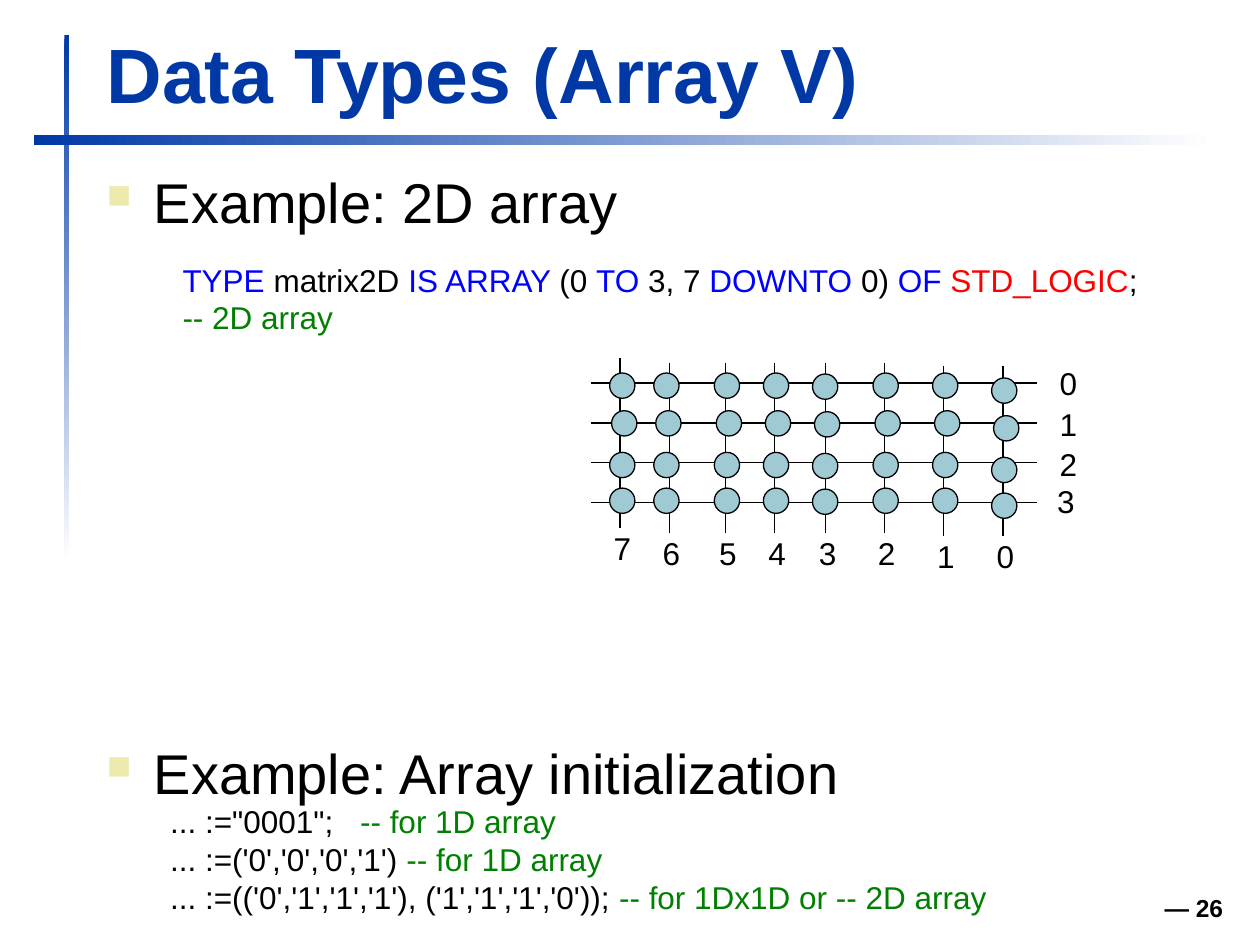
import lxml.etree
import pptx
import pptx.dml.color
import pptx.enum.shapes
import pptx.enum.text
import pptx.oxml.ns
import pptx.util

Cm, Pt = pptx.util.Cm, pptx.util.Pt
Rgb = pptx.dml.color.RGBColor.from_string
Shape = pptx.enum.shapes.MSO_SHAPE
Wire = pptx.enum.shapes.MSO_CONNECTOR
Align = pptx.enum.text.PP_ALIGN
Anchor = pptx.enum.text.MSO_ANCHOR
Fit = pptx.enum.text.MSO_AUTO_SIZE
qn = pptx.oxml.ns.qn


class Theme:
    font = "Arial"
    navy, white, black = "0039A6", "FFFFFF", "000000"
    key, kind, note = "0000FF", "FF0000", "008000"
    mark, dot = "ECEAAC", "9FCAD3"
    title, head, code, foot = 44, 32, 18, 14
    line = 0.75


# Coloured code: each line is a list of (text, colour) runs
TYPE_CODE = [
    [("TYPE", Theme.key), (" matrix2D ", Theme.black),
     ("IS ARRAY ", Theme.key), ("(0 ", Theme.black), ("TO", Theme.key),
     (" 3, 7 ", Theme.black), ("DOWNTO", Theme.key), (" 0) ", Theme.black),
     ("OF ", Theme.key), ("STD_LOGIC", Theme.kind), (";", Theme.black)],
    [("-- 2D array", Theme.note)],
]
INIT_CODE = [
    [("... :=\"0001\";\t", Theme.black), ("-- for 1D array", Theme.note)],
    [("... :=('0','0','0','1') ", Theme.black),
     ("-- for 1D array", Theme.note)],
    [("... :=(('0','1','1','1'), ('1','1','1','0')); ", Theme.black),
     ("-- for 1Dx1D or -- 2D array", Theme.note)],
]

# Matrix grid in cm: (label, line x, line top, dot left, dot drop)
COLS = [
    ("7", 12.5, 7.21, 12.29, 0), ("6", 13.49, 7.32, 13.18, 0),
    ("5", 14.63, 7.32, 14.4, 0), ("4", 15.62, 7.32, 15.39, 0),
    ("3", 16.64, 7.32, 16.38, 0.02), ("2", 17.83, 7.32, 17.6, 0),
    ("1", 19.02, 7.37, 18.8, 0), ("0", 20.22, 7.37, 19.99, 0.1),
]
# (label, line y, label left, label top, dot top, dot shift)
ROWS = [
    ("0", 7.72, 21.11, 7.21, 7.52, 0), ("1", 8.53, 21.11, 8.05, 8.28, 0.04),
    ("2", 9.32, 21.11, 8.84, 9.12, 0), ("3", 10.13, 21.06, 9.6, 9.84, 0),
]


def put(item, values):
    for name, value in values.items():
        setattr(item, name, value)


def add_bullet(para):
    props = para._p.get_or_add_pPr()
    put_in = lxml.etree.SubElement
    props.set("marL", str(Cm(0.95)))
    props.set("indent", str(-Cm(0.95)))
    put_in(put_in(props, qn("a:buClr")), qn("a:srgbClr"), val=Theme.mark)
    put_in(props, qn("a:buSzPct"), val="60000")
    put_in(props, qn("a:buChar"), char="■")


def add_tab(para, place):
    stops = lxml.etree.SubElement(para._p.get_or_add_pPr(), qn("a:tabLst"))
    lxml.etree.SubElement(stops, qn("a:tab"), pos=str(Cm(place)), algn="l")


def add_text(shapes, area, lines, size, frame=None, bold=False, align=None,
             bullet=False, gap=0, tab=None):
    box = shapes.add_textbox(*map(Cm, area)).text_frame
    put(box, {"word_wrap": True, **(frame or {})})
    for i, line in enumerate(lines):
        para = box.paragraphs[0] if i == 0 else box.add_paragraph()
        if bullet:
            add_bullet(para)
        if tab and any("\t" in text for text, _ in line):
            add_tab(para, tab)
        if align is not None:
            para.alignment = align
        if i and gap:
            para.space_before = Pt(gap)
        for text, color in line:
            run = para.add_run()
            run.text = text
            put(run.font, {"name": Theme.font, "size": Pt(size), "bold": bold})
            run.font.color.rgb = Rgb(color)


def add_label(shapes, left, top, text):
    add_text(shapes, (left, top, 0.86, 1.02), [[(text, Theme.black)]],
             Theme.code,
             {"word_wrap": False, "auto_size": Fit.SHAPE_TO_FIT_TEXT})


def add_line(shapes, *ends):
    wire = shapes.add_connector(Wire.STRAIGHT, *map(Cm, ends))
    wire.line.width = Pt(Theme.line)
    wire.line.color.rgb = Rgb(Theme.black)
    lxml.etree.SubElement(wire._element.spPr, qn("a:effectLst"))


def add_bar(shapes, area, angle):
    bar = shapes.add_shape(Shape.RECTANGLE, *map(Cm, area))
    bar.shadow.inherit = False
    bar.line.fill.background()
    bar.fill.gradient()
    bar.fill.gradient_angle = angle
    for stop, color in zip(bar.fill.gradient_stops, (Theme.navy, Theme.white)):
        stop.color.rgb = Rgb(color)


def add_dot(shapes, left, top):
    dot = shapes.add_shape(Shape.OVAL, Cm(left), Cm(top), Cm(0.51), Cm(0.51))
    dot.shadow.inherit = False
    dot.fill.solid()
    dot.fill.fore_color.rgb = Rgb(Theme.dot)
    dot.line.width = Pt(Theme.line)
    dot.line.color.rgb = Rgb(Theme.black)


def add_grid(shapes):
    # Each line is grouped with its index
    for text, y, left, top, _, _ in ROWS:
        group = shapes.add_group_shape().shapes
        add_line(group, 11.91, y, 20.9, y)
        add_label(group, left, top, text)
    for text, x, top, _, _ in COLS:
        group = shapes.add_group_shape().shapes
        add_line(group, x, top, x, top + 3.43)
        add_label(group, x - 0.38, top + 3.33, text)
    # Cells at the crossings
    for _, _, _, _, top, shift in ROWS:
        for _, _, _, left, drop in COLS:
            add_dot(shapes, left + shift, top + drop)


def main():
    deck = pptx.Presentation()
    put(deck, {"slide_width": Cm(25.4), "slide_height": Cm(19.05)})
    shapes = deck.slides.add_slide(deck.slide_layouts[6]).shapes

    # Frame bars
    add_bar(shapes, (1.3, 0.71, 0.1, 10.59), 270)
    add_bar(shapes, (0.69, 2.72, 23.8, 0.2), 0)

    # Title, headings and page number
    add_text(shapes, (1.9, 0.41, 22.94, 2.11),
             [[("Data Types (Array V)", Theme.navy)]], Theme.title,
             {"vertical_anchor": Anchor.BOTTOM}, bold=True)
    add_text(shapes, (1.9, 3.12, 22.96, 14.2),
             [[("Example: 2D array", Theme.black)],
              [("Example: Array initialization", Theme.black)]],
             Theme.head, {"margin_top": Cm(0.25)}, bullet=True, gap=288)
    add_text(shapes, (23.11, 17.73, 1.8, 0.99), [[("— 26", Theme.black)]],
             Theme.foot, {"vertical_anchor": Anchor.BOTTOM,
                          "word_wrap": False}, bold=True, align=Align.RIGHT)

    # Code
    add_text(shapes, (3.43, 5.13, 21.41, 1.78), TYPE_CODE, Theme.code)
    add_text(shapes, (3.18, 16.05, 20.4, 2.54), INIT_CODE, Theme.code,
             tab=3.83)

    # Matrix
    add_grid(shapes)
    deck.save("out.pptx")


if __name__ == "__main__":
    main()
